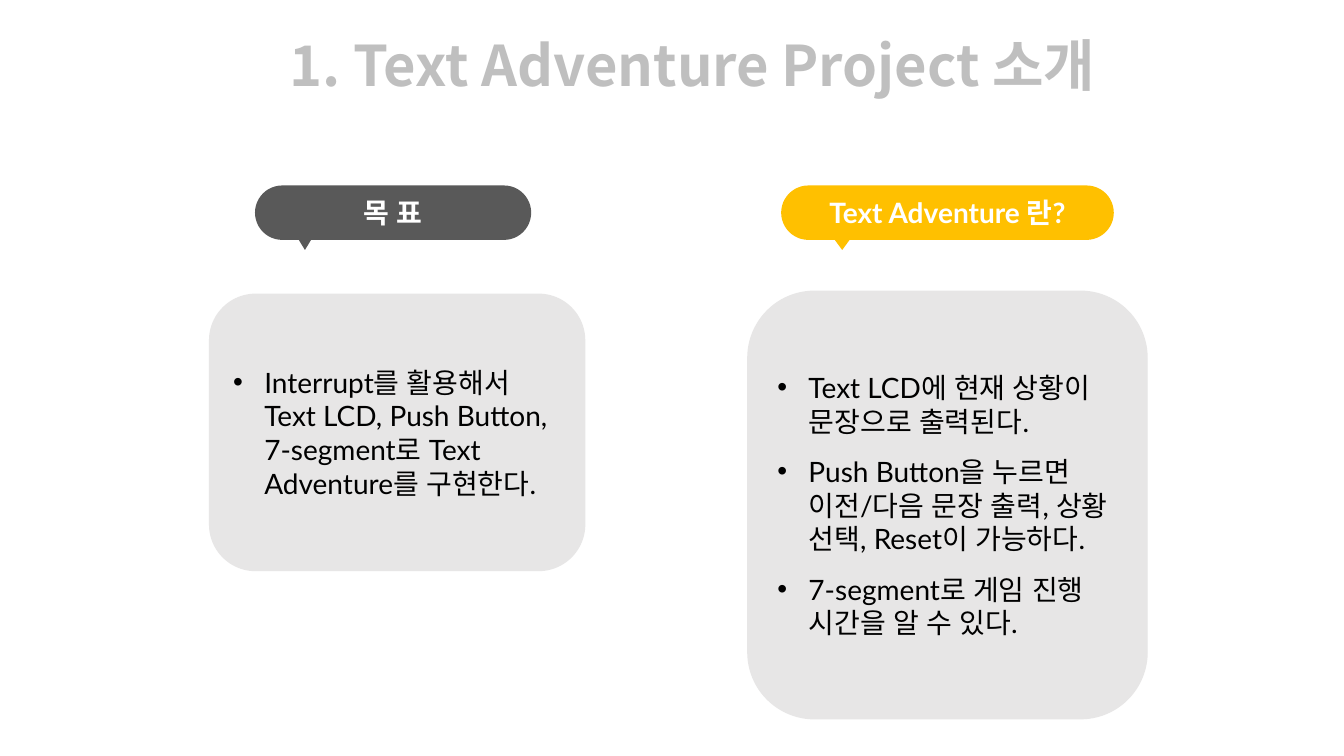
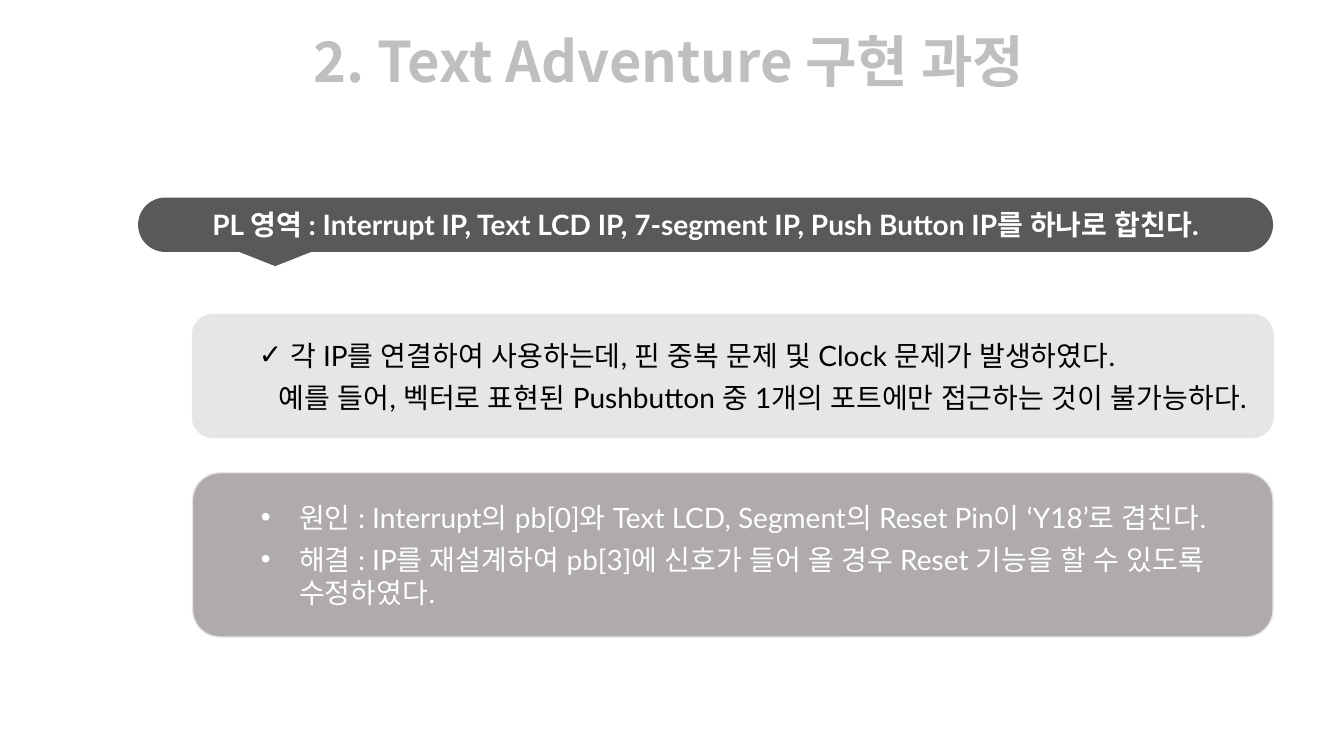
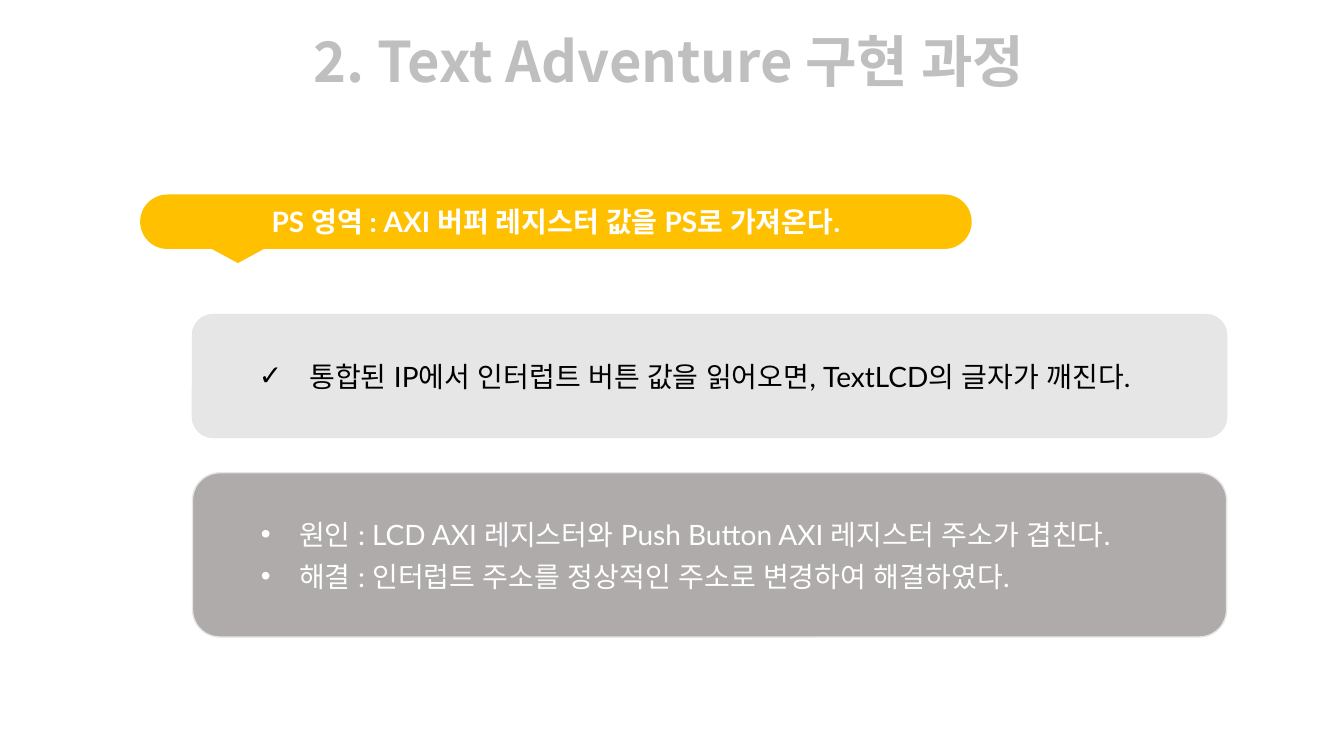
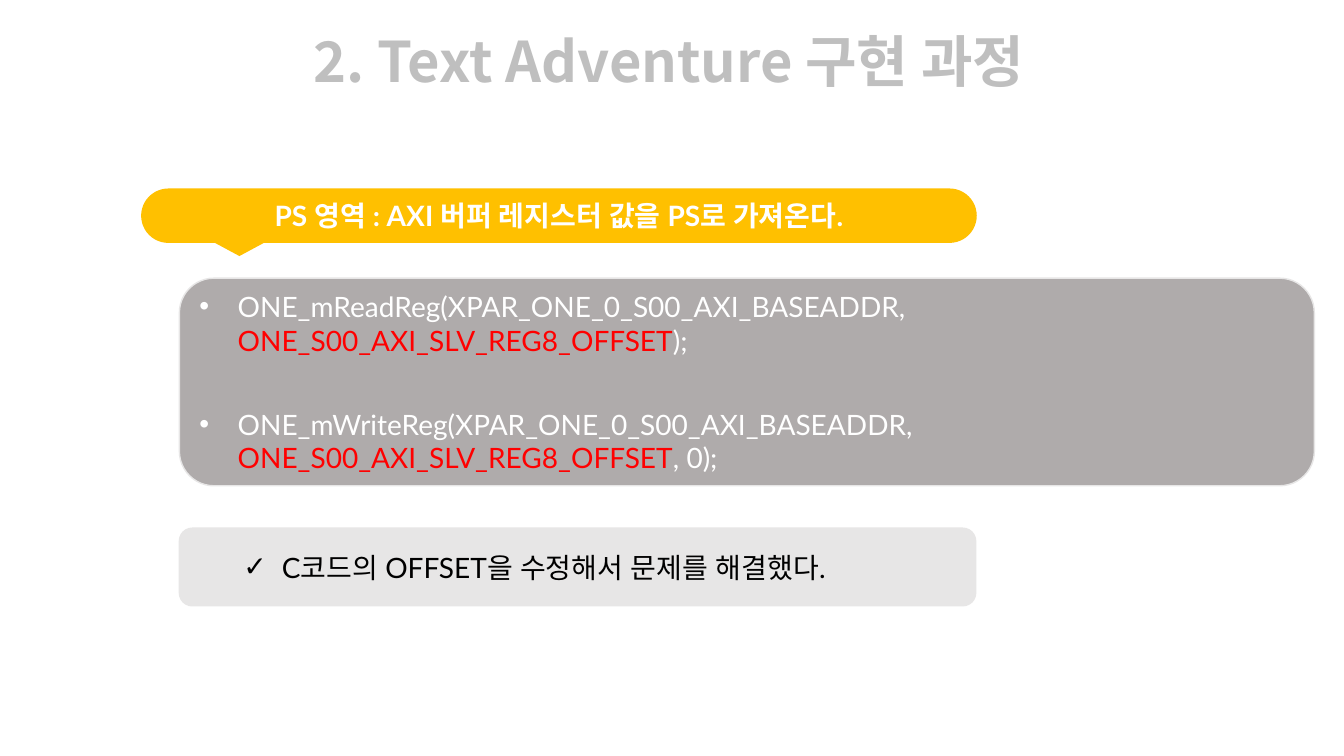
from dataclasses import dataclass

from lxml import etree
from pptx import Presentation
from pptx.dml.color import RGBColor
from pptx.enum.shapes import MSO_SHAPE
from pptx.enum.text import MSO_ANCHOR, MSO_AUTO_SIZE, PP_ALIGN
from pptx.oxml.ns import qn
from pptx.util import Emu, Pt

ROUND = MSO_SHAPE.ROUNDED_RECTANGLE
TIP = MSO_SHAPE.ISOSCELES_TRIANGLE
MIDDLE = MSO_ANCHOR.MIDDLE
FIXED = MSO_AUTO_SIZE.NONE
LEFT, CENTER = PP_ALIGN.LEFT, PP_ALIGN.CENTER
SCALE = 9144  # EMU in one px, 100 px to the inch
TITLE_ONLY = 5


@dataclass(frozen=True)
class Theme:
    head: str = "BFBFBF"
    dark: str = "595959"
    gold: str = "FFC000"
    pale: str = "E7E6E6"
    grey: str = "AFABAB"
    ink: str = "000000"
    white: str = "FFFFFF"
    red: str = "FF0000"
    head_font: str = "Noto Sans CJK KR"
    body_font: str = "Lato"
    head_size: int = 40
    body_size: int = 20


@dataclass(frozen=True)
class Para:
    runs: list  # (text, colour) pairs; no colour means that of the panel
    left: int
    first: int
    mark: str = ""
    after: int = 6


THEME = Theme()
HEAD = {"name": THEME.head_font, "size": Pt(THEME.head_size), "bold": True}
BODY = {"name": THEME.body_font, "size": Pt(THEME.body_size), "bold": False}
LABEL = {**BODY, "bold": True}


def px(*nums):
    return [Emu(num * SCALE) for num in nums]


def rgb(code):
    return RGBColor.from_string(code)


# Text
def add_run(para, text, style, color):
    run = para.add_run()
    run.text = text
    for key, value in style.items():
        setattr(run.font, key, value)
    run.font.color.rgb = rgb(color)
    # Hangul takes the same font as Latin text
    east = etree.SubElement(run.font._element, qn("a:ea"))
    east.set("typeface", style["name"])


def indent(para, spec):
    props = para._p.get_or_add_pPr()
    props.set("marL", str(spec.left * SCALE))
    props.set("indent", str(spec.first * SCALE))
    if spec.mark:
        etree.SubElement(props, qn("a:buFont")).set("typeface", "Arial")
        etree.SubElement(props, qn("a:buChar")).set("char", spec.mark)


def points(texts, left=88, first=-38, mark="•", after=6):
    return [Para([(text, None)], left, first, mark, after) for text in texts]


# Shapes
def add_form(shapes, kind, box, fill, edge=None):
    form = shapes.add_shape(kind, *px(*box))
    form.shadow.inherit = False
    form.fill.solid()
    form.fill.fore_color.rgb = rgb(fill)
    if edge:
        form.line.color.rgb = rgb(edge)
        form.line.width = Pt(1)
    else:
        form.line.fill.background()
    return form


def add_pill(slide, box, text, fill, tip):
    """A round label with a tip below; tip holds left, top and width."""
    shapes = slide.shapes.add_group_shape().shapes
    left, top, width = tip
    add_form(shapes, TIP, (left, top, width, 32), fill).rotation = 180
    pill = add_form(shapes, ROUND, box, fill)
    pill.adjustments[0] = 0.5
    para = pill.text_frame.paragraphs[0]
    para.alignment = CENTER
    add_run(para, text, LABEL, THEME.white)


def add_panel(slide, box, specs, fill=THEME.pale, color=THEME.ink):
    frame = add_form(slide.shapes, ROUND, box, fill, THEME.pale).text_frame
    frame.word_wrap = True
    for num, spec in enumerate(specs):
        para = frame.add_paragraph() if num else frame.paragraphs[0]
        para.alignment = LEFT
        para.space_after = Pt(spec.after)
        indent(para, spec)
        for text, tint in spec.runs:
            add_run(para, text, BODY, tint or color)


def add_slide(deck, text, box=(257, 21, 813, 77)):
    slide = deck.slides.add_slide(deck.slide_layouts[TITLE_ONLY])
    title = slide.shapes.title
    title.left, title.top, title.width, title.height = px(*box)
    frame = title.text_frame
    frame.auto_size = FIXED
    frame.vertical_anchor = MIDDLE
    para = frame.paragraphs[0]
    para.alignment = CENTER
    add_run(para, text, HEAD, THEME.head)
    return slide


# Slides
def intro(deck):
    slide = add_slide(deck, "1. Text Adventure Project 소개",
                      (253, 25, 868, 77))
    add_pill(slide, (253, 184, 274, 54), "목 표", THEME.dark, (283, 216, 39))
    add_pill(slide, (775, 184, 330, 54), "Text Adventure 란?", THEME.gold,
             (812, 216, 47))
    add_panel(slide, (208, 292, 372, 274), points([
        "Interrupt를 활용해서 Text LCD, Push Button, "
        "7-segment로 Text Adventure를 구현한다."], 31, -31))
    add_panel(slide, (742, 289, 396, 424), points([
        "Text LCD에 현재 상황이 문장으로 출력된다.",
        "Push Button을 누르면 이전/다음 문장 출력, 상황 선택, Reset이 가능하다.",
    ], 31, -31, after=12) + points([
        "7-segment로 게임 진행 시간을 알 수 있다."], 31, -31, after=0))


def issue(deck, title, width, notes, causes):
    """A slide with a problem above its cause and its fix."""
    slide = add_slide(deck, title)
    add_panel(slide, (191, 312, width, 122), notes)
    add_panel(slide, (191, 469, width, 163), points(causes),
              THEME.grey, THEME.white)
    return slide


def code(deck, title, label):
    slide = add_slide(deck, title)
    add_pill(slide, (140, 187, 829, 54), label, THEME.gold, (178, 222, 119))
    calls = [("ONE_mReadReg", ");", 36), ("ONE_mWriteReg", ", 0);", 6)]
    add_panel(slide, (178, 276, 1126, 206), [
        Para([(name + "(XPAR_ONE_0_S00_AXI_BASEADDR, ", None),
              ("ONE_S00_AXI_SLV_REG8_OFFSET", THEME.red),
              (tail, None)], 38, -38, "•", after)
        for name, tail, after in calls], THEME.grey, THEME.white)
    add_panel(slide, (178, 524, 790, 77), points(
        ["C코드의 OFFSET을 수정해서 문제를 해결했다."], mark="✓"))


def main():
    deck = Presentation()
    deck.slide_width, deck.slide_height = Emu(12192000), Emu(6858000)
    title = "2. Text Adventure 구현 과정"
    label = "PS 영역 : AXI 버퍼 레지스터 값을 PS로 가져온다."

    intro(deck)
    slide = issue(
        deck, title, 1072,
        points(["각 IP를 연결하여 사용하는데, 핀 중복 문제 및 Clock 문제가 발생하였다."],
               81, -31, "✓")
        + points(["예를 들어, 벡터로 표현된 Pushbutton 중 1개의 포트에만 "
                  "접근하는 것이 불가능하다."], 50, 20, ""),
        ["원인 : Interrupt의 pb[0]와 Text LCD, Segment의 Reset Pin이 "
         "‘Y18’로 겹친다.",
         "해결 : IP를 재설계하여 pb[3]에 신호가 들어 올 경우 Reset 기능을 "
         "할 수 있도록 수정하였다."])
    add_pill(slide, (137, 196, 1126, 54),
             "PL 영역 : Interrupt IP, Text LCD IP, 7-segment IP, "
             "Push Button IP를 하나로 합친다.", THEME.dark, (192, 232, 162))
    slide = issue(
        deck, title, 1026,
        points(["통합된 IP에서 인터럽트 버튼 값을 읽어오면, TextLCD의 글자가 깨진다."],
               100, -50, "✓"),
        ["원인 : LCD AXI 레지스터와 Push Button AXI 레지스터 주소가 겹친다.",
         "해결 : 인터럽트 주소를 정상적인 주소로 변경하여 해결하였다."])
    add_pill(slide, (139, 193, 825, 54), label, THEME.gold, (177, 229, 118))
    code(deck, title, label)
    deck.save("out.pptx")


if __name__ == "__main__":
    main()
